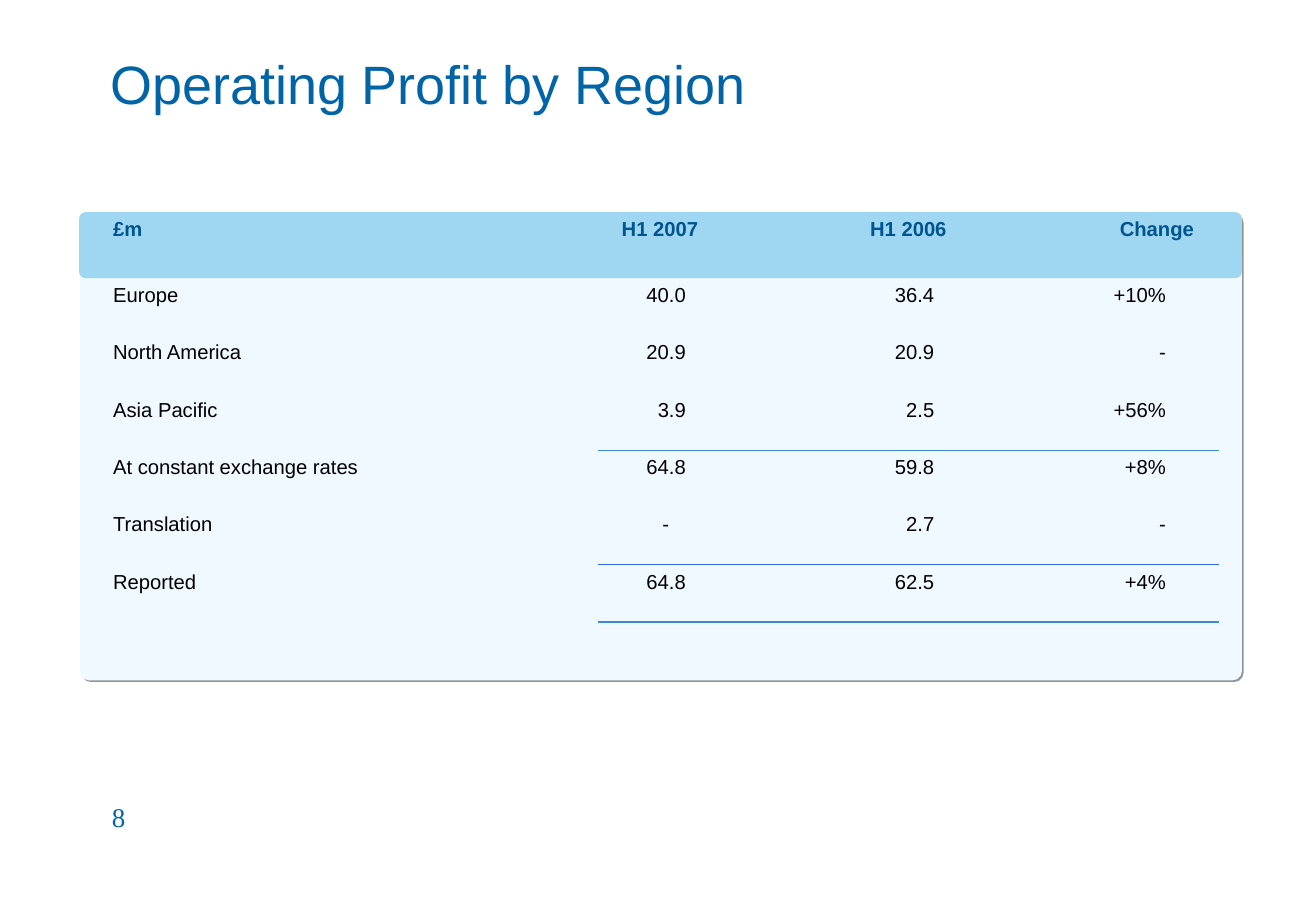
from lxml import etree
from pptx import Presentation
from pptx.dml.color import RGBColor
from pptx.enum.shapes import MSO_SHAPE
from pptx.enum.text import MSO_ANCHOR, MSO_AUTO_SIZE, PP_ALIGN
from pptx.oxml.ns import qn
from pptx.util import Inches, Pt

ROUNDED = MSO_SHAPE.ROUNDED_RECTANGLE
MIDDLE = MSO_ANCHOR.MIDDLE
NO_AUTOFIT = MSO_AUTO_SIZE.NONE
LEFT, CENTER = PP_ALIGN.LEFT, PP_ALIGN.CENTER

PX = 7532
SLIDE_WIDTH, SLIDE_HEIGHT = Inches(10.84), Inches(7.5)

TITLE_BLUE = RGBColor(0x00, 0x64, 0xA6)
HEADER_BLUE = RGBColor(0x00, 0x55, 0x8E)
HEADER_FILL = RGBColor(0x9F, 0xD6, 0xF1)
PANEL_FILL = RGBColor(0xEF, 0xF9, 0xFF)
PANEL_SHADOW = RGBColor(0x8E, 0x94, 0x98)
RULE_BLUE = RGBColor(0x3F, 0x87, 0xD7)
BRIGHT_BLUE = RGBColor(0x33, 0x66, 0xFF)
BLACK = RGBColor(0x00, 0x00, 0x00)

NO_TABLE_STYLE = "{2D5ABB26-0587-4C30-8999-92F81FD0307C}"
COLUMN_COUNT = 9
VALUE_COLUMNS = (4, 6, 8)
DECIMAL_TAB = 59
HEADINGS = ("£m", "H1 2007", "H1 2006", "Change")
REGIONS = (
    ("Europe", "40.0", "36.4", "+10%"),
    ("North America", "20.9", "20.9", "-"),
    ("Asia Pacific", "3.9", "2.5", "+56%"),
    ("At constant exchange rates", "64.8", "59.8", "+8%"),
    ("Translation", "-", "2.7", "-"),
    ("Reported", "64.8", "62.5", "+4%"),
)
RULES_BELOW = {3: (RULE_BLUE, 0.45), 5: (BRIGHT_BLUE, 0.45), 6: (RULE_BLUE, 1.08)}


def emu(box):
    return [length * PX for length in box]


def set_font(paragraph, name, size, color, bold=False):
    font = paragraph.font
    font.name, font.size, font.bold = name, Pt(size), bold
    font.color.rgb = color


def add_title(slide, box):
    title = slide.shapes.title
    title.left, title.top, title.width, title.height = emu(box)
    frame = title.text_frame
    frame.text = "Operating Profit by Region"
    frame.auto_size = NO_AUTOFIT
    frame.vertical_anchor = MIDDLE
    frame.paragraphs[0].alignment = LEFT
    set_font(frame.paragraphs[0], "Arial", 32, TITLE_BLUE)


def add_rounded_panel(slide, box, fill, corner):
    panel = slide.shapes.add_shape(ROUNDED, *emu(box))
    panel.adjustments[0] = corner
    panel.fill.solid()
    panel.fill.fore_color.rgb = fill
    panel.line.fill.background()
    panel.shadow.inherit = False
    return panel


def add_backdrop(slide, box, header_height):
    left, top, width, height = box
    body = add_rounded_panel(slide, box, PANEL_FILL, 0.02)
    effects = body._element.spPr.find(qn("a:effectLst"))
    shadow = etree.SubElement(effects, qn("a:outerShdw"), dist=str(Pt(1.4)),
                              dir="2700000", algn="tl", rotWithShape="0")
    etree.SubElement(shadow, qn("a:srgbClr"), val=str(PANEL_SHADOW))
    add_rounded_panel(slide, (left - 1, top, width + 1, header_height), HEADER_FILL, 0.1)


def set_rule(cell, side, rule):
    line = etree.Element(qn("a:" + side))
    if rule:
        color, weight = rule
        line.set("w", str(Pt(weight)))
        fill = etree.SubElement(line, qn("a:solidFill"))
        etree.SubElement(fill, qn("a:srgbClr"), val=str(color))
    else:
        etree.SubElement(line, qn("a:noFill"))
    cell._tc.get_or_add_tcPr().insert(0, line)


def fill_cell(cell, text, color, bold=False, alignment=LEFT, decimal=False):
    paragraph = cell.text_frame.paragraphs[0]
    paragraph.text = "\t" + text if decimal else text
    if decimal:
        tabs = etree.SubElement(paragraph._p.get_or_add_pPr(), qn("a:tabLst"))
        etree.SubElement(tabs, qn("a:tab"), pos=str(DECIMAL_TAB * PX), algn="dec")
    paragraph.alignment = alignment
    paragraph.space_before = Pt(3)
    set_font(paragraph, "Arial", 12, color, bold)


def add_profit_table(slide, box, header_height):
    row_count = len(REGIONS) + 1
    table = slide.shapes.add_table(row_count, COLUMN_COUNT, *emu(box)).table
    table.first_row = table.horz_banding = False
    table._tbl.tblPr.find(qn("a:tableStyleId")).text = NO_TABLE_STYLE
    for column in table.columns:
        column.width = box[2] * PX // COLUMN_COUNT
    for row in table.rows:
        row.height = (box[3] - header_height) * PX // len(REGIONS)
    table.rows[0].height = header_height * PX

    for row in range(row_count):
        for column in range(COLUMN_COUNT):
            cell = table.cell(row, column)
            if row == 0:
                cell.fill.solid()
                cell.fill.fore_color.rgb = HEADER_FILL
            else:
                cell.fill.background()
            if column >= VALUE_COLUMNS[0]:
                set_rule(cell, "lnB", RULES_BELOW.get(row))
                set_rule(cell, "lnT", RULES_BELOW.get(row - 1))

    fill_cell(table.cell(0, 0), HEADINGS[0], HEADER_BLUE, bold=True)
    for column, heading in zip(VALUE_COLUMNS, HEADINGS[1:]):
        fill_cell(table.cell(0, column), heading, HEADER_BLUE, True, CENTER)
    for row, (region, *values) in enumerate(REGIONS, 1):
        if region != "Reported":
            table.cell(row, 0).merge(table.cell(row, 2))
        fill_cell(table.cell(row, 0), region, BLACK)
        for column, value in zip(VALUE_COLUMNS, values):
            fill_cell(table.cell(row, column), value, BLACK, decimal=True)


def add_page_number(slide, box):
    frame = slide.shapes.add_textbox(*emu(box)).text_frame
    frame.word_wrap = True
    frame.text = "8"
    set_font(frame.paragraphs[0], "Times New Roman", 16, TITLE_BLUE)


def main():
    deck = Presentation()
    deck.slide_width, deck.slide_height = SLIDE_WIDTH, SLIDE_HEIGHT
    slide = deck.slides.add_slide(deck.slide_layouts[5])
    header_height = 66
    add_backdrop(slide, (80, 212, 1162, 468), header_height)
    add_title(slide, (98, 7, 1118, 152))
    add_profit_table(slide, (101, 212, 1118, 410), header_height)
    add_page_number(slide, (100, 794, 274, 61))
    deck.save("out.pptx")


if __name__ == "__main__":
    main()
